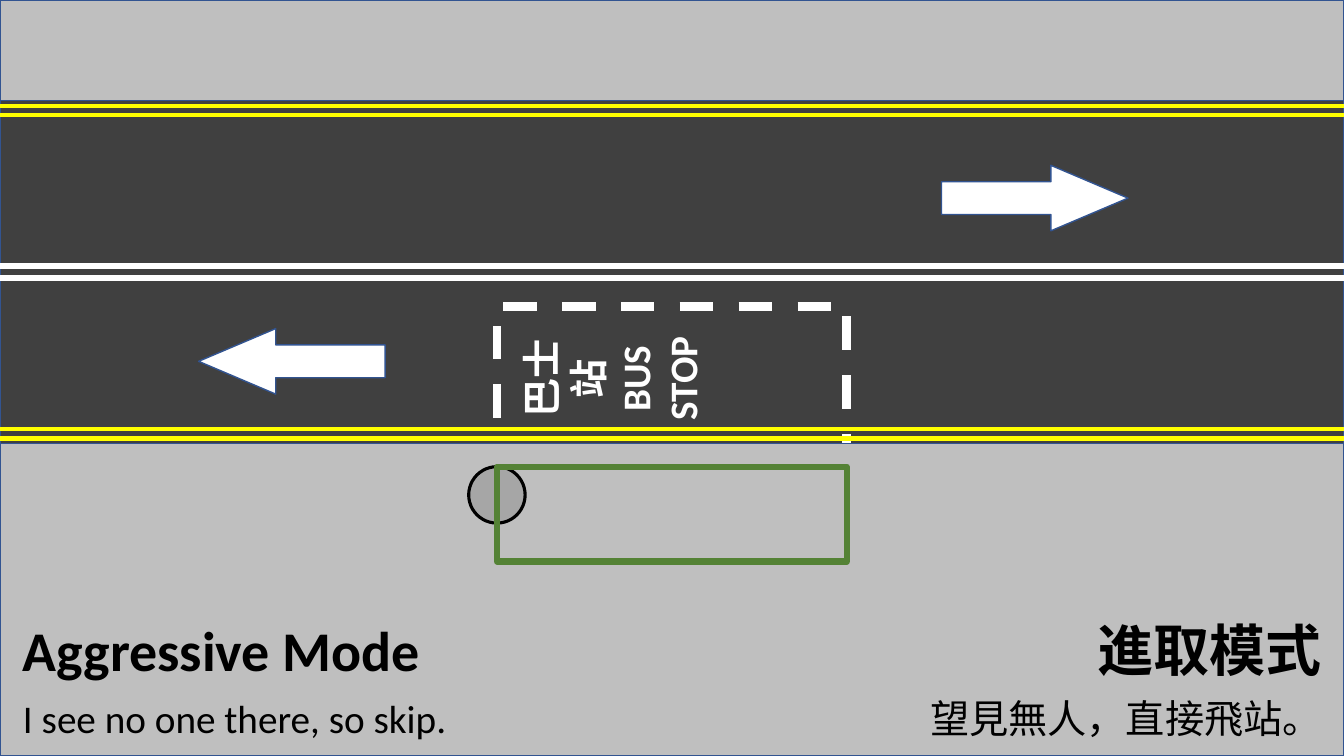
from dataclasses import dataclass

from lxml import etree
from pptx import Presentation
from pptx.dml.color import RGBColor
from pptx.enum.dml import MSO_LINE
from pptx.enum.shapes import MSO_CONNECTOR, MSO_SHAPE
from pptx.enum.text import MSO_AUTO_SIZE, PP_ALIGN
from pptx.oxml.ns import qn
from pptx.util import Inches, Pt

RECTANGLE, ARROW, CIRCLE = MSO_SHAPE.RECTANGLE, MSO_SHAPE.LEFT_ARROW, MSO_SHAPE.OVAL
STRAIGHT, DASH = MSO_CONNECTOR.STRAIGHT, MSO_LINE.DASH
LEFT, CENTER, RIGHT = PP_ALIGN.LEFT, PP_ALIGN.CENTER, PP_ALIGN.RIGHT
GROW = MSO_AUTO_SIZE.SHAPE_TO_FIT_TEXT

LATIN, CHINESE = "Calibri", "Noto Sans CJK TC"
WHITE, BLACK, YELLOW, GREEN = "FFFFFF", "000000", "FFFF00", "548235"
ASPHALT, PAVEMENT, POLE, EDGE = "404040", "BFBFBF", "A6A6A6", "325491"

# Grid of 0.1 inch cells
COLUMNS, ROWS = 133.33, 75
STOP_LEFT, STOP_WIDTH = 49.3, 34.7
KERB = 46.3
POLE_SIZE = 5.6


@dataclass
class Block:
    left: float
    top: float
    width: float
    height: float
    fill: str | None = None
    line: str = EDGE
    weight: float = 1
    kind: MSO_SHAPE = RECTANGLE
    dashed: bool = False
    turn: float = 0


@dataclass
class Stripe:
    row: float
    colour: str
    weight: float


@dataclass
class Caption:
    left: float
    top: float
    width: float
    height: float
    text: str
    size: float
    font: str
    align: PP_ALIGN
    bold: bool = False


BLOCKS = [
    Block(0, 0, COLUMNS, ROWS, ASPHALT),
    Block(STOP_LEFT, 30.4, STOP_WIDTH, 17.1, line=WHITE, weight=6, dashed=True),
    Block(0, 44, COLUMNS, ROWS - 44, PAVEMENT),
    Block(0, 0, COLUMNS, 10, PAVEMENT),
    Block(19.7, 32.6, 18.5, 6.5, WHITE, kind=ARROW),
    Block(93.4, 16.4, 18.5, 6.5, WHITE, kind=ARROW, turn=180),
    Block(STOP_LEFT - POLE_SIZE / 2, KERB, POLE_SIZE, POLE_SIZE, POLE, BLACK, 2.25, CIRCLE),
    Block(STOP_LEFT, KERB, STOP_WIDTH, 9.4, line=GREEN, weight=4.5),
]
STRIPES = [Stripe(row, WHITE, 4.5) for row in (26.4, 27.6)]
STRIPES += [Stripe(row, YELLOW, 3) for row in (10.5, 11.4, 42.6, 43.5)]
CAPTIONS = [
    Caption(1.3, 60.6, 77.3, 7.7, "Aggressive Mode", 40, LATIN, LEFT, True),
    Caption(1.3, 68.4, 77.3, 5.7, "I see no one there, so skip.", 28, LATIN, LEFT),
    Caption(80, 60.6, 52.1, 7.7, "進取模式", 40, CHINESE, RIGHT, True),
    Caption(62.1, 68.4, 70, 5.7, "望見無人，直接飛站。", 28, CHINESE, RIGHT),
]


def cells(count: float) -> Inches:
    return Inches(count / 10)


def paint(target, colour: str) -> None:
    """Give a fill or a font colour its hex value."""
    target.rgb = RGBColor.from_string(colour)


def draw_block(page, block: Block) -> None:
    shape = page.shapes.add_shape(
        block.kind, cells(block.left), cells(block.top), cells(block.width), cells(block.height))
    shape.shadow.inherit = False
    shape.rotation = block.turn
    if block.fill:
        shape.fill.solid()
        paint(shape.fill.fore_color, block.fill)
    else:
        shape.fill.background()
    paint(shape.line.color, block.line)
    shape.line.width = Pt(block.weight)
    if block.dashed:
        shape.line.dash_style = DASH
    if block.kind == ARROW:
        shape.adjustments[0], shape.adjustments[1] = 0.5, 1.177


def draw_stripe(page, stripe: Stripe) -> None:
    row = cells(stripe.row)
    line = page.shapes.add_connector(STRAIGHT, 0, row, cells(COLUMNS), row)
    paint(line.line.color, stripe.colour)
    line.line.width = Pt(stripe.weight)
    etree.SubElement(line._element.spPr, qn("a:effectLst"))


def write(page, left: float, top: float, width: float, height: float, *texts: str,
          size: float, font: str = LATIN, colour: str = BLACK, bold: bool = False,
          align: PP_ALIGN = LEFT, turn: float = 0) -> None:
    box = page.shapes.add_textbox(cells(left), cells(top), cells(width), cells(height))
    box.rotation = turn
    frame = box.text_frame
    frame.word_wrap = True
    frame.auto_size = GROW
    for number, text in enumerate(texts):
        para = frame.add_paragraph() if number else frame.paragraphs[0]
        para.text = text
        para.alignment = align
        for span in para.runs:
            span.font.name = font
            span.font.size = Pt(size)
            span.font.bold = bold
            paint(span.font.color, colour)
            etree.SubElement(span.font._element, qn("a:ea"), typeface=CHINESE)


def main() -> None:
    deck = Presentation()
    deck.slide_width, deck.slide_height = cells(COLUMNS), cells(ROWS)
    page = deck.slides.add_slide(deck.slide_layouts[6])

    # Road, pavements, arrows and bus stop
    for block in BLOCKS:
        draw_block(page, block)

    # Lane markings
    for stripe in STRIPES:
        draw_stripe(page, stripe)

    # Lettering on the road
    write(page, 54.2, 27.6, 13.1, 19.9, "巴士\v站", "BUS\vSTOP",
          size=28, colour=WHITE, bold=True, align=CENTER, turn=270)

    # Captions in both languages
    for caption in CAPTIONS:
        write(page, caption.left, caption.top, caption.width, caption.height, caption.text,
              size=caption.size, font=caption.font, bold=caption.bold, align=caption.align)

    deck.save("out.pptx")


if __name__ == "__main__":
    main()
